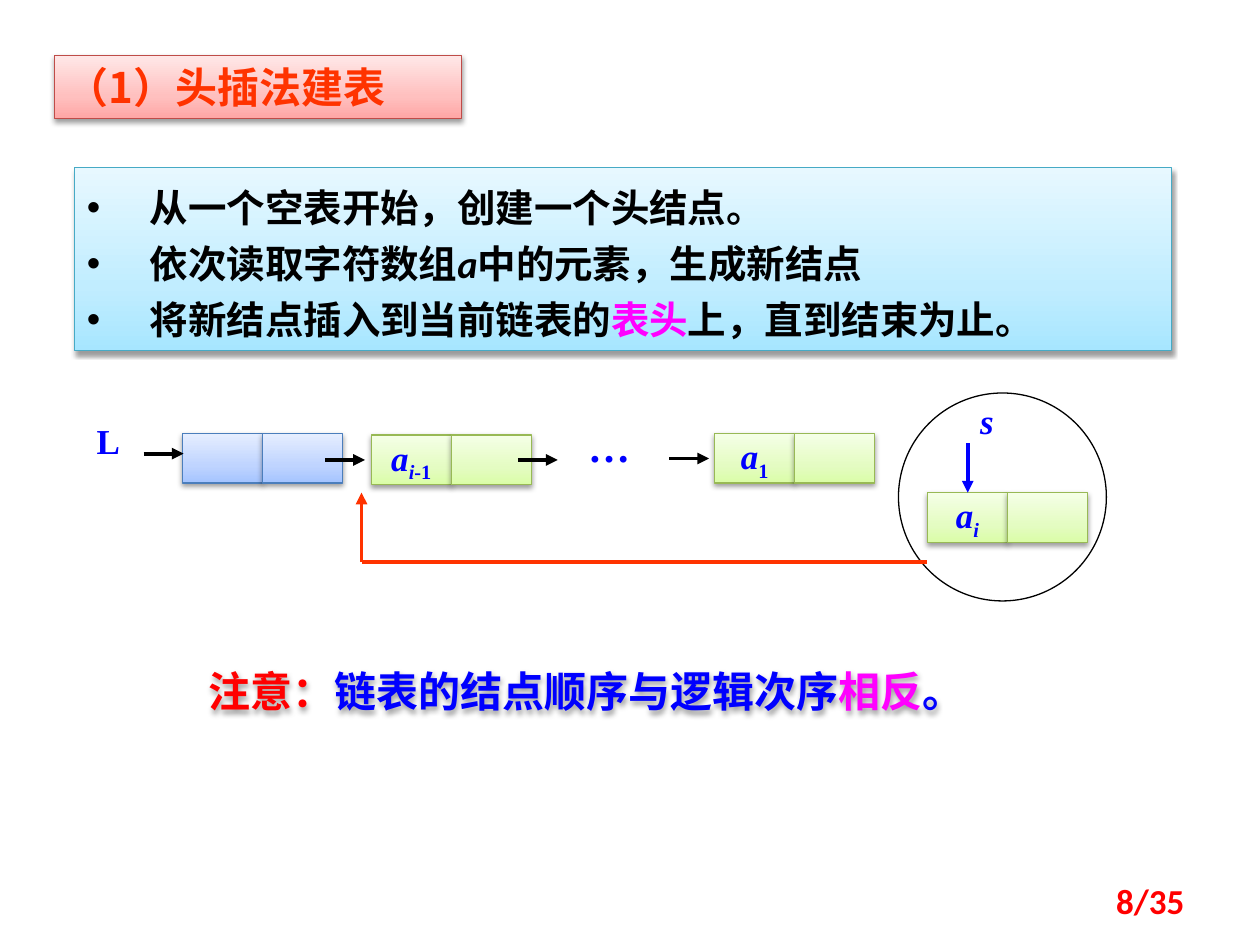
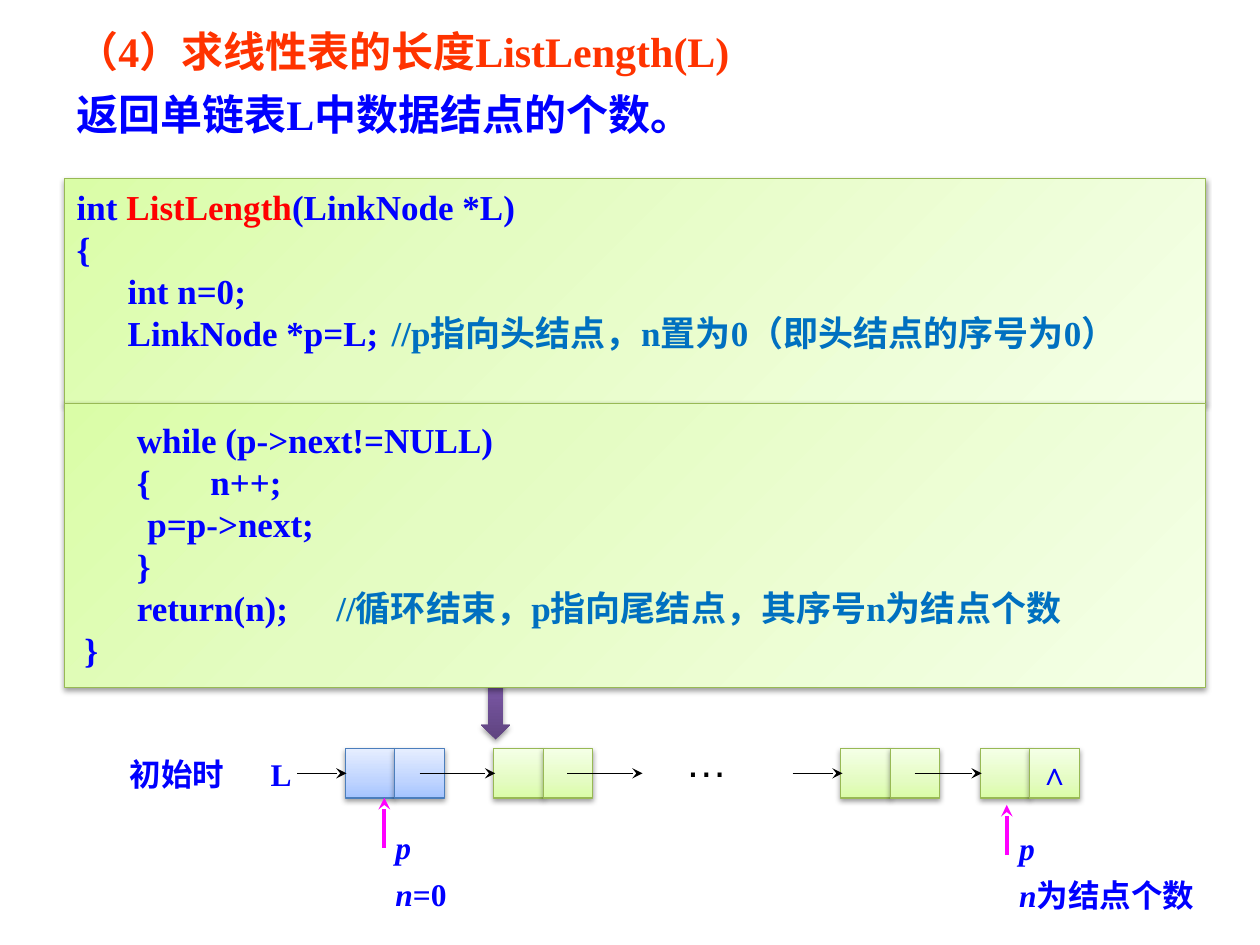
from copy import deepcopy

from lxml.etree import SubElement
from pptx import Presentation
from pptx.dml.color import RGBColor
from pptx.enum.shapes import MSO_CONNECTOR, MSO_SHAPE
from pptx.enum.text import MSO_ANCHOR, MSO_AUTO_SIZE, PP_ALIGN
from pptx.oxml.ns import qn
from pptx.util import Pt

BLACK = RGBColor(0x00, 0x00, 0x00)
BLUE = RGBColor(0x00, 0x00, 0xFF)
RED = RGBColor(0xFF, 0x00, 0x00)
ORANGE = RGBColor(0xFF, 0x33, 0x00)
PINK = RGBColor(0xFF, 0x00, 0xFF)
COMMENT = RGBColor(0x00, 0x70, 0xC0)
GREEN_EDGE = RGBColor(0x98, 0xB9, 0x55)
BLUE_EDGE = RGBColor(0x4B, 0x7E, 0xBC)
ROSE_EDGE = RGBColor(0xBF, 0x4C, 0x48)
CYAN_EDGE = RGBColor(0x46, 0xAA, 0xC5)


def gradient(*hexes, middle=0.35):
    return [(pos, RGBColor.from_string(h)) for pos, h in zip((0, middle, 1), hexes)]


GREEN = gradient("DAFDA7", "E4FCC2", "F5FFE7")
SKY = gradient("A4C4FF", "BFD4FF", "E6EEFF")
ROSE = gradient("FFA6A5", "FFC0BF", "FFE7E7")
CYAN = gradient("A7E6FF", "C1EDFF", "E7F8FF")
PURPLE = gradient("5F4480", "7B58A6", "7C57A8", middle=0.8)

TIMES = "Times New Roman"
CJK = "Noto Sans CJK SC"


def write(p, text, size=20, font=TIMES, color=BLUE, bold=True, italic=False, sub=False):
    r = p.add_run()
    r.text = text
    r.font.size = Pt(size)
    r.font.bold = bold
    r.font.italic = italic
    r.font.color.rgb = color
    r.font.name = font
    rPr = r._r.get_or_add_rPr()
    SubElement(rPr, qn("a:ea")).set("typeface", CJK)
    if sub:
        rPr.set("baseline", "-25000")


def fill_frame(sp, paragraphs, align=PP_ALIGN.LEFT, anchor=MSO_ANCHOR.TOP, wrap=True,
               insets=(7.2, 3.6), spacing=None, gap=0, bullet=None, **fmt):
    tf = sp.text_frame
    tf.auto_size = MSO_AUTO_SIZE.NONE
    tf.word_wrap = wrap
    tf.vertical_anchor = anchor
    tf.margin_left = tf.margin_right = Pt(insets[0])
    tf.margin_top = tf.margin_bottom = Pt(insets[1])
    for i, runs in enumerate(paragraphs):
        p = tf.paragraphs[0] if i == 0 else tf.add_paragraph()
        pPr = p._p.get_or_add_pPr()
        indent = Pt(36) if bullet else 0
        pPr.set("marL", str(indent))
        pPr.set("indent", str(-indent))
        if bullet:
            SubElement(pPr, qn("a:buChar")).set("char", bullet)
        else:
            SubElement(pPr, qn("a:buNone"))
        p.alignment = align
        p.space_before = Pt(gap if i else 0)
        if spacing:
            p.line_spacing = spacing
        for text, own in runs:
            write(p, text, **{**fmt, **own})


def run(text, **own):
    return text, own


def cast_shadow(sp, alpha=38):
    sp.shadow.inherit = False
    effects = sp.element.spPr.find(qn("a:effectLst"))
    shadow = SubElement(effects, qn("a:outerShdw"), blurRad=str(Pt(3.1)), dist=str(Pt(1.6)),
                        dir="5400000", rotWithShape="0")
    color = SubElement(shadow, qn("a:srgbClr"), val="000000")
    SubElement(color, qn("a:alpha"), val=str(alpha * 1000))


def paint(sp, stops, edge=None, angle=90):
    sp.fill.gradient()
    sp.fill.gradient_angle = angle
    gs_list = sp.element.spPr.find(".//" + qn("a:gsLst"))
    gs_list.append(deepcopy(gs_list[-1]))
    for stop, (position, color) in zip(sp.fill.gradient_stops, stops):
        stop.position = position
        stop.color.rgb = color
    if edge is None:
        sp.line.fill.background()
    else:
        sp.line.color.rgb = edge
        sp.line.width = Pt(0.75)
    cast_shadow(sp)


def place(sp, x, y, w, h):
    sp.left, sp.top, sp.width, sp.height = Pt(x), Pt(y), Pt(w), Pt(h)
    return sp


def add_shape(s, kind, x, y, w, h):
    return s.shapes.add_shape(kind, Pt(x), Pt(y), Pt(w), Pt(h))


def add_label(s, x, y, w, h, *paragraphs, **fmt):
    sp = s.shapes.add_textbox(Pt(x), Pt(y), Pt(w), Pt(h))
    fill_frame(sp, paragraphs, **fmt)
    return sp


def add_line(s, x1, y1, x2, y2, color=BLACK, width=2.25, head="triangle"):
    c = s.shapes.add_connector(MSO_CONNECTOR.STRAIGHT, Pt(x1), Pt(y1), Pt(x2), Pt(y2))
    c.line.color.rgb = color
    c.line.width = Pt(width)
    spPr = c.element.spPr
    if head:
        SubElement(spPr.find(qn("a:ln")), qn("a:tailEnd")).set("type", head)
    SubElement(spPr, qn("a:effectLst"))


def add_node(s, x, y, w, h, data=None, link=None, stops=GREEN, edge=GREEN_EDGE, size=20):
    for i, runs in enumerate((data, link)):
        sp = add_shape(s, MSO_SHAPE.RECTANGLE, x + i * w, y, w, h)
        paint(sp, stops, edge)
        if runs:
            fill_frame(sp, [runs], align=PP_ALIGN.CENTER, anchor=MSO_ANCHOR.MIDDLE,
                       wrap=False, size=size)


def add_code(s, y, h, insets, *lines):
    sp = add_shape(s, MSO_SHAPE.RECTANGLE, 36.8, y, 652.3, h)
    paint(sp, GREEN, GREEN_EDGE, angle=315)
    fill_frame(sp, lines, insets=insets)


def add_pointer(s, x, tip, text_x, text_y, w, *value):
    add_label(s, text_x, text_y, w, 54.7, [run("p", italic=True)],
              [run("n", italic=True), *value], size=18, spacing=Pt(18), gap=9)
    add_line(s, x, tip + 28.6, x, tip, PINK, head="stealth")


def build_head_insertion(prs):
    s = prs.slides.add_slide(prs.slide_layouts[1])
    title, body = s.placeholders[0], s.placeholders[1]
    place(title, 31, 31.7, 232.6, 36)
    paint(title, ROSE, ROSE_EDGE)
    fill_frame(title, [[run("（1）头插法建表")]], size=24, font=CJK, color=ORANGE)

    place(body, 42.5, 95.8, 627.1, 104.4)
    paint(body, CYAN, CYAN_EDGE)
    fill_frame(body, [
        [run("从一个空表开始，创建一个头结点。")],
        [run("依次读取字符数组"), run("a", italic=True), run("中的元素，生成新结点")],
        [run("将新结点插入到当前链表的"), run("表头", color=PINK), run("上，直到结束为止。")],
    ], size=22, font="Calibri", color=BLACK, spacing=Pt(32), bullet="•")

    circle = add_shape(s, MSO_SHAPE.OVAL, 513.4, 224.6, 118.8, 118.8)
    circle.shadow.inherit = False
    circle.fill.background()
    circle.line.color.rgb = BLACK
    circle.line.width = Pt(0.75)

    a = run("a", italic=True)
    i = run("i", italic=True, sub=True)
    cell = (45.7, 28.4)
    add_node(s, 104.4, 247.7, *cell, stops=SKY, edge=BLUE_EDGE)
    add_node(s, 212.2, 248.6, *cell, data=[a, i, run("-1", sub=True)])
    add_node(s, 408.4, 247.7, *cell, data=[a, run("1", sub=True)])
    add_node(s, 530, 281.5, *cell, data=[a, i])

    for x, y in ((82.1, 259.2), (185.8, 262.8), (295.9, 262.8), (382.4, 262)):
        add_line(s, x, y, x + 22.8, y)
    add_line(s, 553, 253.4, 553, 281.5, BLUE)
    add_line(s, 206.6, 321.1, 206.6, 281.5, ORANGE)
    add_line(s, 206.6, 321.1, 530, 321.1, ORANGE, head=None)

    add_label(s, 48.2, 236.2, 39.6, 31, [run("L")])
    add_label(s, 329, 236.9, 39.6, 36, [run("…")], size=24)
    add_label(s, 553, 224.6, 45.4, 31, [run("s", italic=True)])

    note = add_label(s, 112.3, 376.6, 487.4, 36, [
        run("注意：", color=RED), run("链表的结点顺序与逻辑次序"),
        run("相反", color=PINK), run("。")], size=24, font=CJK)
    cast_shadow(note)
    add_label(s, 516.2, 500.4, 167.8, 28.8, [run("8/35")], font="Calibri", color=RED,
              align=PP_ALIGN.RIGHT, anchor=MSO_ANCHOR.MIDDLE)


def build_list_length(prs):
    s = prs.slides.add_slide(prs.slide_layouts[1])
    headings = (("（4）求线性表的长度ListLength(L)", ORANGE), ("返回单链表L中数据结点的个数。", BLUE))
    for i, (text, color) in enumerate(headings):
        sp = place(s.placeholders[i], 36.4, 16.6 + 36 * i, 590, 34)
        fill_frame(sp, [[run(text)]], size=24, color=color, spacing=0.8)

    add_code(s, 102.2, 128.2, (7.2, 3.6),
             [run("int "), run("ListLength", color=RED), run("(LinkNode *L)")],
             [run("{")],
             [run("  　int n=0;")],
             [run("　  LinkNode *p=L;\t"),
              run("//p指向头结点，n置为0（即头结点的序号为0）", color=COMMENT)])

    arrow = add_shape(s, MSO_SHAPE.DOWN_ARROW, 275, 383, 16.6, 39.6)
    paint(arrow, PURPLE)
    add_code(s, 230.4, 162.7, (11.5, 8.6),
             [run("      while (p->next!=NULL)")],
             [run("      {\tn++;")],
             [run("\tp=p->next;")],
             [run("      }")],
             [run("      return(n);\t"),
              run("//循环结束，p指向尾结点，其序号n为结点个数", color=COMMENT)],
             [run("}")])

    add_label(s, 67, 427.7, 79.2, 28.8, [run("初始时")], size=18)
    add_label(s, 147.6, 427.7, 20.9, 28.8, [run("L")], size=18, wrap=False)
    cell = (28.3, 28.3)
    add_node(s, 197.3, 427.7, *cell, stops=SKY, edge=BLUE_EDGE)
    add_node(s, 282.2, 427.7, *cell)
    add_node(s, 480.5, 427.7, *cell)
    add_node(s, 560.2, 427.7, *cell, link=[run("∧")], size=18)
    for x1, x2 in ((169.9, 198), (239.8, 283), (324, 367.2), (453, 481.5), (522.7, 561)):
        add_line(s, x1, 441.9, x2, 441.9, width=0.75, head="stealth")
    add_label(s, 384.5, 416.9, 56.9, 36, [run("…")], size=24, font="Arial",
              color=BLACK, bold=False)

    add_pointer(s, 219.6, 455.9, 218.9, 473, 66.2, run("=0"))
    add_pointer(s, 575.3, 460, 575.3, 473.8, 143.3, run("为结点个数"))


def main():
    prs = Presentation()
    prs.slide_width, prs.slide_height = Pt(720), Pt(540)
    build_head_insertion(prs)
    build_list_length(prs)
    prs.save("out.pptx")


if __name__ == "__main__":
    main()
